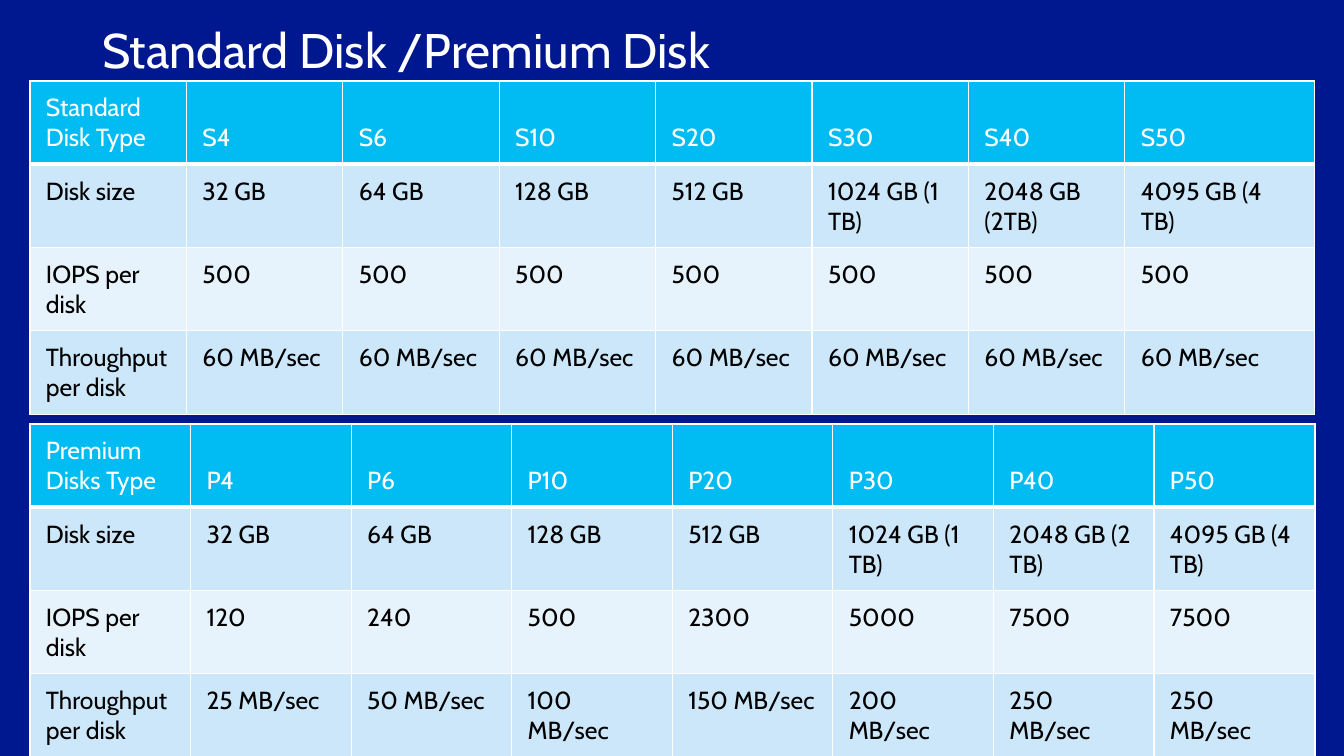
from dataclasses import dataclass

from lxml.etree import SubElement
from pptx import Presentation
from pptx.dml.color import RGBColor
from pptx.enum.text import MSO_ANCHOR
from pptx.oxml.ns import qn
from pptx.slide import Slide
from pptx.table import _Cell
from pptx.text.text import Font
from pptx.util import Emu, Pt

EMU_PER_PX = 9255
FONT = "Cabin"
NAVY = "00188F"
CYAN = "00BCF2"
PALE_BLUE = "CCE7FA"
PALEST_BLUE = "E7F3FC"
WHITE = "FFFFFF"
BLACK = "000000"
ROW_FILLS = (CYAN, PALE_BLUE, PALEST_BLUE, PALE_BLUE)
TABLE_LEFT = 30
TABLE_WIDTH = 1285
ROW_HEIGHT = 83


@dataclass(frozen=True)
class DiskTable:
    top: int
    last_column: int
    rows: tuple[tuple[str, ...], ...]


STANDARD = DiskTable(81, 190, (
    ("Standard Disk Type", "S4", "S6", "S10", "S20", "S30", "S40", "S50"),
    ("Disk size", "32 GB", "64 GB", "128 GB", "512 GB",
     "1024 GB (1 TB)", "2048 GB (2TB)", "4095 GB (4 TB)"),
    ("IOPS per disk",) + ("500",) * 7,
    ("Throughput per disk",) + ("60 MB/sec",) * 7,
))
PREMIUM = DiskTable(424, 161, (
    ("Premium Disks Type", "P4", "P6", "P10", "P20", "P30", "P40", "P50"),
    ("Disk size", "32 GB", "64 GB", "128 GB", "512 GB",
     "1024 GB (1 TB)", "2048 GB (2 TB)", "4095 GB (4 TB)"),
    ("IOPS per disk", "120", "240", "500", "2300", "5000", "7500", "7500"),
    ("Throughput per disk", "25 MB/sec", "50 MB/sec", "100 MB/sec",
     "150 MB/sec", "200 MB/sec", "250 MB/sec", "250 MB/sec"),
))


def px(length: int) -> Emu:
    return Emu(length * EMU_PER_PX)


def color(value: str) -> RGBColor:
    return RGBColor.from_string(value)


def style_font(font: Font, size: float, value: str) -> None:
    font.name = FONT
    font.size = Pt(size)
    font.bold = False
    font.color.rgb = color(value)


def add_borders(cell: _Cell, row: int) -> None:
    properties = cell._tc.get_or_add_tcPr()
    top = 3 if row == 1 else 1
    bottom = 3 if row == 0 else 1
    for side, width in (("L", 1), ("R", 1), ("T", top), ("B", bottom)):
        border = SubElement(properties, qn(f"a:ln{side}"), w=str(Pt(width)))
        fill = SubElement(border, qn("a:solidFill"))
        SubElement(fill, qn("a:srgbClr"), val=WHITE)


def fill_cell(cell: _Cell, row: int, wording: str) -> None:
    add_borders(cell, row)
    cell.fill.solid()
    cell.fill.fore_color.rgb = color(ROW_FILLS[row])
    cell.margin_left, cell.margin_right = px(16), px(17)
    cell.margin_top = cell.margin_bottom = px(12)
    cell.vertical_anchor = MSO_ANCHOR.BOTTOM if row == 0 else MSO_ANCHOR.TOP
    cell.text_frame.text = wording
    run = cell.text_frame.paragraphs[0].runs[0]
    style_font(run.font, 18, WHITE if row == 0 else BLACK)


def add_disk_table(slide: Slide, disks: DiskTable) -> None:
    row_count, column_count = len(disks.rows), len(disks.rows[0])
    table = slide.shapes.add_table(
        row_count, column_count, px(TABLE_LEFT), px(disks.top),
        px(TABLE_WIDTH), px(ROW_HEIGHT * row_count),
    ).table
    even_width = px(TABLE_WIDTH - disks.last_column) // (column_count - 1)
    for column in table.columns:
        column.width = Emu(even_width)
    table.columns[column_count - 1].width = px(disks.last_column)
    for row, wordings in enumerate(disks.rows):
        table.rows[row].height = px(ROW_HEIGHT)
        for column, wording in enumerate(wordings):
            fill_cell(table.cell(row, column), row, wording)


def add_title(slide: Slide, wording: str) -> None:
    frame = slide.shapes.add_textbox(px(87), px(16), px(1087), px(82)).text_frame
    frame.word_wrap = True
    frame.margin_left = frame.margin_right = px(15)
    frame.margin_top = frame.margin_bottom = px(4)
    frame.text = wording
    style_font(frame.paragraphs[0].runs[0].font, 35.4, WHITE)


def main() -> None:
    presentation = Presentation()
    presentation.slide_width = px(1344)
    presentation.slide_height = px(756)
    slide = presentation.slides.add_slide(presentation.slide_layouts[6])
    slide.background.fill.solid()
    slide.background.fill.fore_color.rgb = color(NAVY)
    add_title(slide, "Standard Disk /Premium Disk")
    for disks in (STANDARD, PREMIUM):
        add_disk_table(slide, disks)
    presentation.save("out.pptx")


if __name__ == "__main__":
    main()
